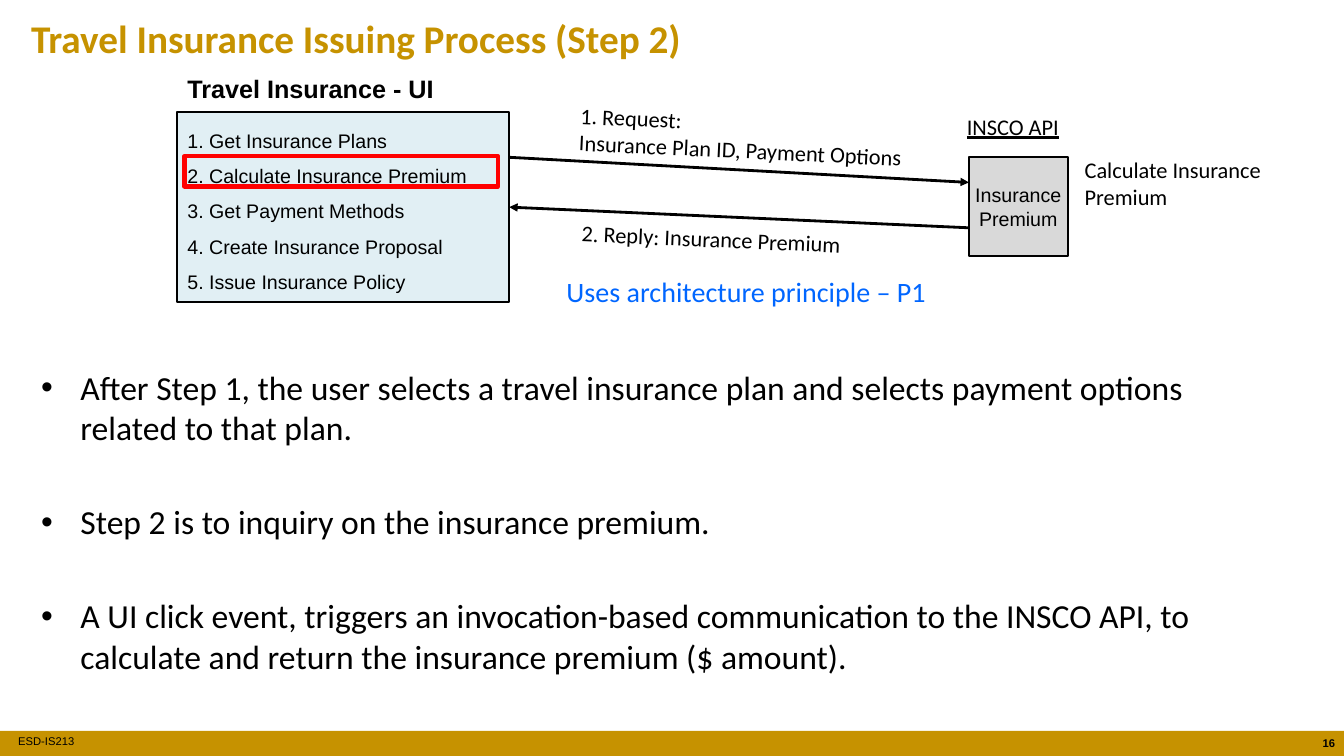
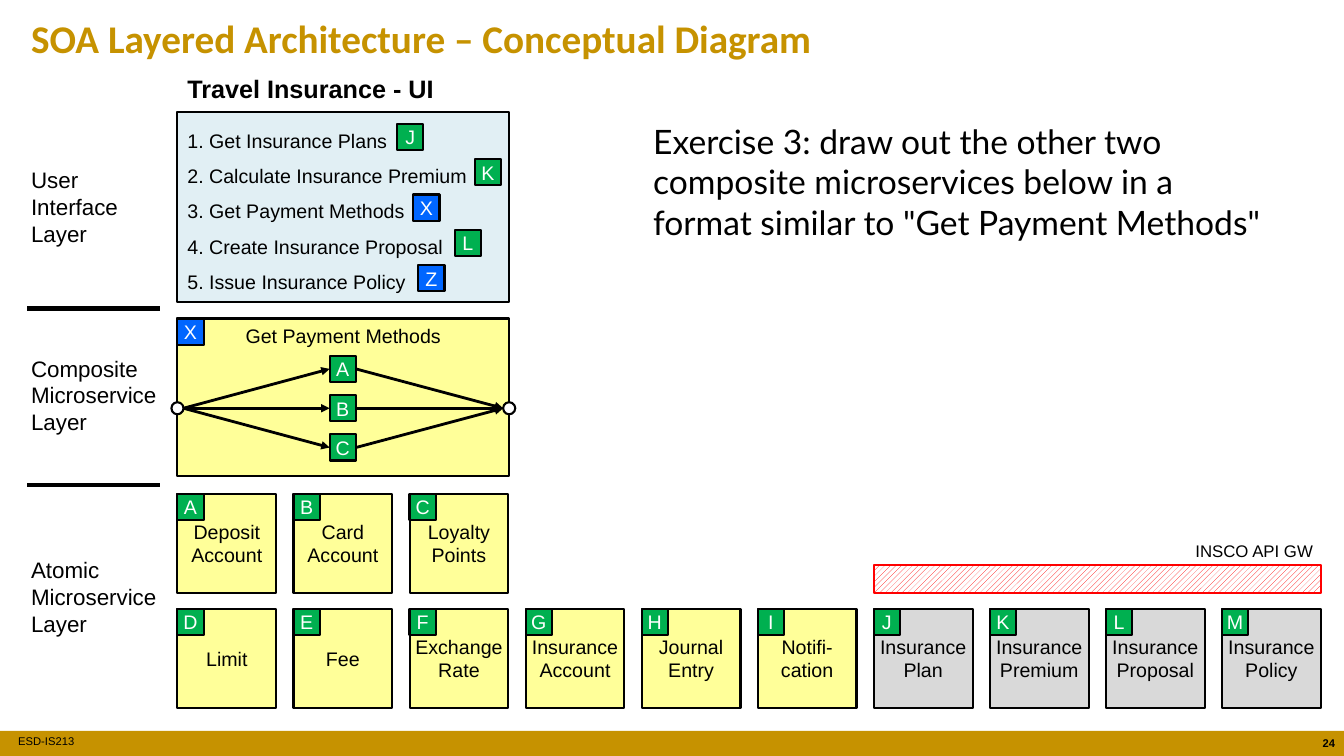
from lxml import etree
from pptx import Presentation
from pptx.dml.color import RGBColor
from pptx.enum.dml import MSO_PATTERN
from pptx.enum.shapes import MSO_CONNECTOR, MSO_SHAPE
from pptx.enum.text import MSO_ANCHOR as ANCHOR, PP_ALIGN as ALIGN
from pptx.oxml.ns import qn
from pptx.util import Inches, Pt

COLORS = {
    "gold": "C69200", "black": "000000", "white": "FFFFFF", "red": "FF0000",
    "gray": "D9D9D9", "yellow": "FFFF99", "ice": "E1EFF4",
    "green": "00B050", "blue": "0066FF",
}
MENU = [
    "1. Get Insurance Plans",
    "2. Calculate Insurance Premium",
    "3. Get Payment Methods",
    "4. Create Insurance Proposal",
    "5. Issue Insurance Policy",
]
LEFT, PANEL_W, CARD, BADGE, DOT = 1.76, 3.29, 0.98, 0.26, 0.12


def rgb(name):
    return RGBColor.from_string(COLORS[name])


class Deck:
    def __init__(self):
        self.prs = Presentation()
        self.prs.slide_width = Inches(13.33)
        self.prs.slide_height = Inches(7.5)
        self.slide = None

    def new_slide(self, title, number):
        self.slide = self.prs.slides.add_slide(self.prs.slide_layouts[6])
        self.box(0, 7.25, 13.33, 0.25, fill="gold", line=None)
        self.text(0.18, 7.24, 1.72, 0.25, ["ESD-IS213"], size=8, inset=(0, 0.05))
        self.text(12.95, 7.26, 0.39, 0.24, [number], size=8, bold=True, align=ALIGN.RIGHT)
        self.text(0.21, 0.09, 10.96, 0.62, [title], size=28, font="Calibri",
                  color="gold", bold=True)

    def add_lines(self, sp, lines, size=14, font="Arial", color="black", bold=False,
                  underline=False, align=ALIGN.LEFT, anchor=ANCHOR.TOP,
                  inset=(0.1, 0.05), spacing=None, bullet=False, gap=0):
        tf = sp.text_frame
        tf.word_wrap = True
        tf.vertical_anchor = anchor
        tf.margin_left = tf.margin_right = Inches(inset[0])
        tf.margin_top = tf.margin_bottom = Inches(inset[1])
        for i, line in enumerate(lines):
            p = tf.add_paragraph() if i else tf.paragraphs[0]
            if bullet:
                pPr = p._p.get_or_add_pPr()
                pPr.set("marL", str(Inches(0.39)))
                pPr.set("indent", str(-Inches(0.39)))
                etree.SubElement(pPr, qn("a:buFont")).set("typeface", "Arial")
                etree.SubElement(pPr, qn("a:buChar")).set("char", "•")
            p.alignment = align
            if spacing:
                p.line_spacing = spacing
            if i and gap:
                p.space_before = Pt(gap)
            r = p.add_run()
            r.text = line
            r.font.size = Pt(size)
            r.font.name = font
            r.font.bold = bold
            r.font.underline = underline
            r.font.color.rgb = rgb(color)

    def text(self, x, y, w, h, lines, rotation=0, **style):
        sp = self.slide.shapes.add_textbox(Inches(x), Inches(y), Inches(w), Inches(h))
        sp.rotation = rotation
        self.add_lines(sp, lines, **style)
        return sp

    def box(self, x, y, w, h, fill=None, line="black", width=1.5,
            kind=MSO_SHAPE.RECTANGLE, lines=(), **style):
        sp = self.slide.shapes.add_shape(kind, Inches(x), Inches(y), Inches(w), Inches(h))
        sp.shadow.inherit = False
        if fill:
            sp.fill.solid()
            sp.fill.fore_color.rgb = rgb(fill)
        else:
            sp.fill.background()
        if line:
            sp.line.color.rgb = rgb(line)
            sp.line.width = Pt(width)
        else:
            sp.line.fill.background()
        if lines:
            self.add_lines(sp, lines, **style)
        return sp

    def card(self, x, y, label, fill):
        return self.box(x, y, CARD, CARD, fill, lines=[label], align=ALIGN.CENTER,
                        anchor=ANCHOR.MIDDLE, inset=(0.04, 0.04))

    def badge(self, x, y, letter, fill="green"):
        return self.box(x, y, BADGE, BADGE, fill, lines=[letter], color="white",
                        align=ALIGN.CENTER, anchor=ANCHOR.MIDDLE, inset=(0, 0))

    def dot(self, x, y):
        return self.box(x - DOT / 2, y - DOT / 2, DOT, DOT, "white", kind=MSO_SHAPE.OVAL)

    def hatch(self, x, y, w, h):
        sp = self.box(x, y, w, h, line="red")
        sp.fill.patterned()
        sp.fill.pattern = MSO_PATTERN.WIDE_UPWARD_DIAGONAL
        sp.fill.fore_color.rgb = rgb("red")
        sp.fill.back_color.rgb = rgb("white")
        return sp

    def line(self, start, end, width=2, arrow=True, begin=None, finish=None):
        cx = self.slide.shapes.add_connector(
            MSO_CONNECTOR.STRAIGHT, *(Inches(v) for v in (*start, *end)))
        cx.line.color.rgb = rgb("black")
        cx.line.width = Pt(width)
        if begin:
            cx.begin_connect(*begin)
        if finish:
            cx.end_connect(*finish)
        if arrow:
            etree.SubElement(cx.line._get_or_add_ln(), qn("a:tailEnd")).set("type", "triangle")
        etree.SubElement(cx._element.spPr, qn("a:effectLst"))
        return cx

    def menu(self):
        self.text(LEFT, 0.68, 3.26, 0.4, ["Travel Insurance - UI"], size=18, bold=True)
        return self.box(LEFT, 1.11, PANEL_W, 1.89, "ice", lines=MENU, spacing=1.5)


def build_step(deck):
    deck.new_slide("Travel Insurance Issuing Process (Step 2)", "16")
    deck.card(9.61, 1.56, "Insurance Premium", "gray")
    menu = deck.menu()
    deck.box(1.83, 1.55, 3.11, 0.3, line="red", width=3)
    deck.line((5.04, 1.56), (9.61, 1.81))
    deck.line((9.61, 2.26), (5.04, 2.05), finish=(menu, 3))
    note = {"size": 16, "font": "Calibri"}
    deck.text(5.65, 1.04, 3.48, 0.64, ["1. Request:", "Insurance Plan ID, Payment Options"],
              rotation=2.8, **note)
    deck.text(10.66, 1.5, 2, 0.64, ["Calculate Insurance Premium"], **note)
    deck.text(5.67, 2.19, 3.01, 0.37, ["2. Reply: Insurance Premium"], rotation=2.5, **note)
    deck.text(9.49, 1.07, 2.58, 0.37, ["INSCO API"], underline=True, **note)
    deck.text(0.31, 3.59, 12.34, 3.38, [
        "After Step 1, the user selects a travel insurance plan and selects payment options "
        "related to that plan.",
        "Step 2 is to inquiry on the insurance premium.",
        "A UI click event, triggers an invocation-based communication to the INSCO API, to "
        "calculate and return the insurance premium ($ amount).",
    ], size=24, font="Calibri", bullet=True, gap=38.4)
    deck.text(5.52, 2.67, 3.98, 0.44, ["Uses architecture principle – P1"],
              size=20, font="Calibri", color="blue")


def build_layers(deck):
    deck.new_slide("SOA Layered Architecture – Conceptual Diagram", "24")
    pitch = (12.12 - LEFT) / 9
    rows = [
        (4.9, "ABC", ["Deposit Account", "Card Account", "Loyalty Points"]),
        (6.04, "DEFGHIJKLM", [
            "Limit", "Fee", "Exchange Rate", "Insurance Account", "Journal Entry",
            "Notifi-cation", "Insurance Plan", "Insurance Premium",
            "Insurance Proposal", "Insurance Policy"]),
    ]
    for y, letters, labels in rows:
        for i, (letter, label) in enumerate(zip(letters, labels)):
            x = LEFT + i * pitch
            deck.card(x, y, label, "gray" if letter >= "J" else "yellow")
            deck.badge(x, y, letter)
    deck.hatch(8.67, 5.61, 4.43, 0.27)
    deck.text(11.69, 5.32, 1.5, 0.3, ["INSCO API GW"], size=12, align=ALIGN.CENTER)

    deck.box(LEFT, 3.16, PANEL_W, 1.56, "yellow", lines=["Get Payment Methods"],
             align=ALIGN.CENTER)
    deck.badge(LEFT, 3.16, "X", "blue")
    right, mid = LEFT + PANEL_W, 4.05
    deck.dot(LEFT, mid)
    deck.dot(right, mid)
    start, end = (LEFT + DOT / 2, mid), (right - DOT / 2, mid)
    for i, letter in enumerate("ABC"):
        center = mid + (i - 1) * 0.39
        call = deck.badge(3.27, center - BADGE / 2, letter)
        deck.line(start, (3.27, center), finish=(call, 1))
        deck.line((3.27 + BADGE, center), end, begin=(call, 3))

    deck.menu()
    marks = [(3.94, "J", "green"), (4.71, "K", "green"), (4.1, "X", "blue"),
             (4.51, "L", "green"), (4.15, "Z", "blue")]
    for i, (x, letter, fill) in enumerate(marks):
        deck.badge(x, 1.23 + i * 0.35, letter, fill)

    for y, name in [(1.6, "User Interface Layer"), (3.47, "Composite Microservice Layer"),
                    (5.47, "Atomic Microservice Layer")]:
        deck.text(0.21, y, 1.54, 0.91, [name], size=16)
    for y in (3.06, 4.81):
        deck.line((0.27, y), (1.59, y), width=3, arrow=False)
    deck.text(6.38, 1.15, 6.31, 1.31, [
        "Exercise 3: draw out the other two composite microservices below in a format "
        "similar to \"Get Payment Methods\""], size=24, font="Lato")


def main():
    deck = Deck()
    build_step(deck)
    build_layers(deck)
    deck.prs.save("out.pptx")


if __name__ == "__main__":
    main()
